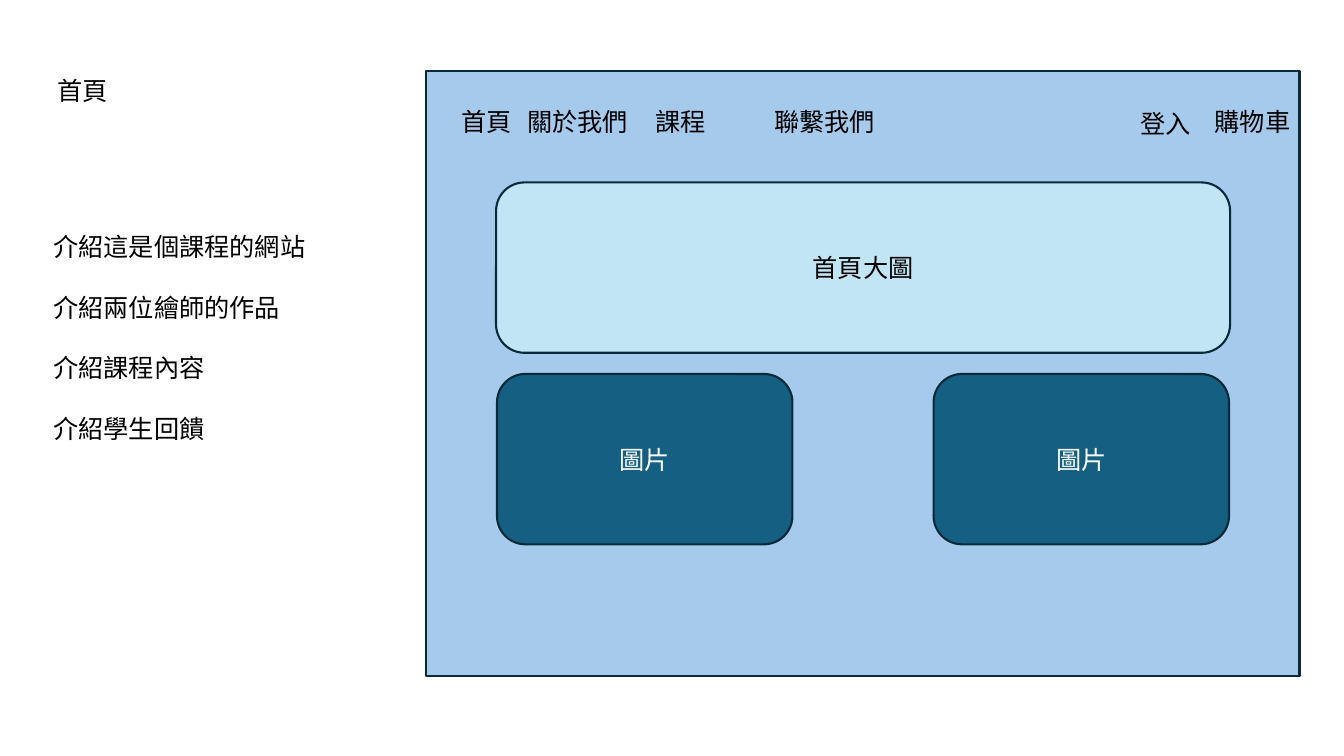
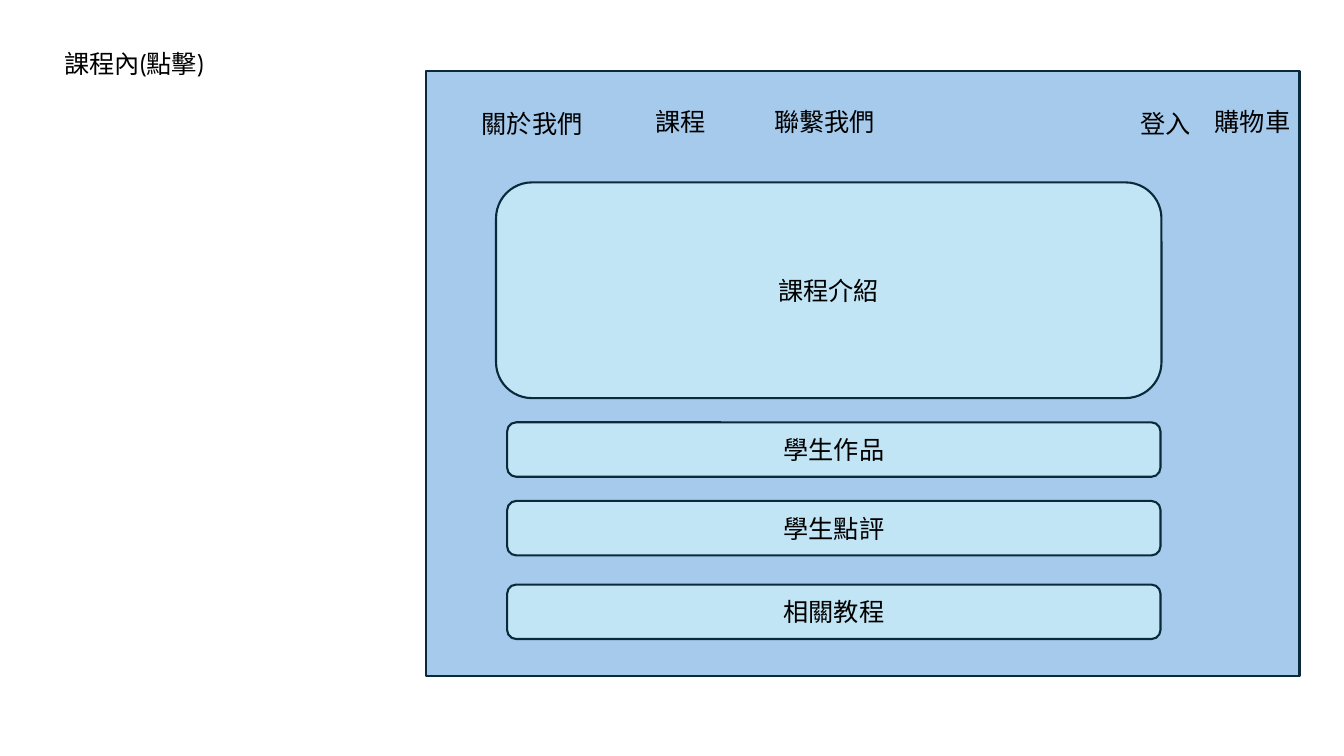
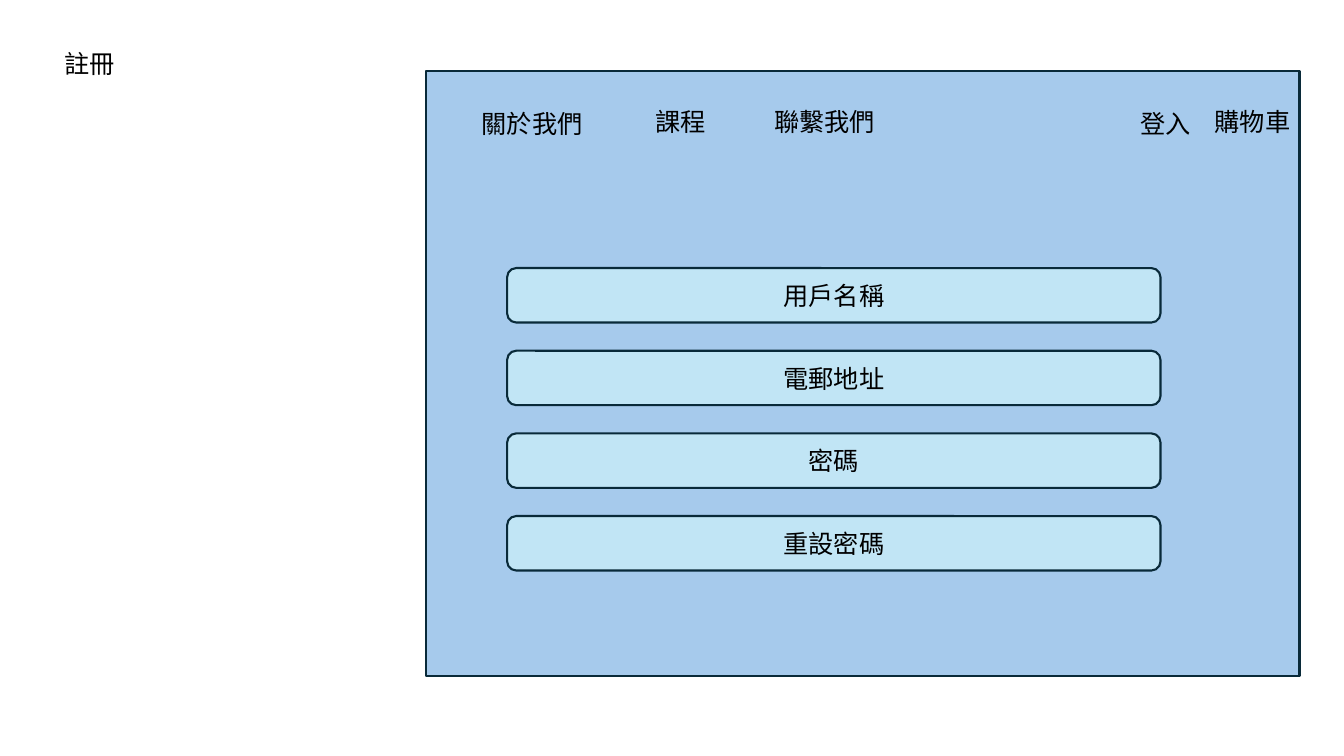
from pptx import Presentation
from pptx.dml.color import RGBColor
from pptx.enum.shapes import MSO_SHAPE
from pptx.enum.text import MSO_ANCHOR, MSO_AUTO_SIZE, PP_ALIGN
from pptx.util import Inches, Pt

BLACK = RGBColor(0x00, 0x00, 0x00)
WHITE = RGBColor(0xFF, 0xFF, 0xFF)
OUTLINE = RGBColor(0x09, 0x2A, 0x39)
PAGE_BLUE = RGBColor(0xA6, 0xCA, 0xEC)
PALE_BLUE = RGBColor(0xC1, 0xE5, 0xF5)
DEEP_BLUE = RGBColor(0x15, 0x60, 0x82)

FONT_NAME = "Cabin"
FONT_SIZE = Pt(18)
LINE_HEIGHT = Pt(21.6)
TEXT_HEIGHT = 0.4

SHARED_MENU = [
    ("課程", 6.4, 1.01),
    ("聯繫我們", 7.58, 1.01),
    ("登入", 11.21, 1.03),
    ("購物車", 11.95, 1.01),
]
HOME_MENU = [("首頁", 4.48, 1.01), ("關於我們", 5.13, 1.01)]
INNER_MENU = [("關於我們", 4.68, 1.03)]


def format_paragraph(paragraph, color=BLACK, alignment=PP_ALIGN.LEFT):
    paragraph.alignment = alignment
    paragraph.font.name = FONT_NAME
    paragraph.font.size = FONT_SIZE
    paragraph.font.color.rgb = color


def add_title(slide, text, left, top):
    title = slide.shapes.title
    title.left, title.top = Inches(left), Inches(top)
    title.width, title.height = Inches(2.51), Inches(TEXT_HEIGHT)
    frame = title.text_frame
    frame.text = text
    frame.auto_size = MSO_AUTO_SIZE.NONE
    frame.vertical_anchor = MSO_ANCHOR.TOP
    format_paragraph(frame.paragraphs[0])


def add_text(slide, lines, left, top, width, height=TEXT_HEIGHT):
    box = slide.shapes.add_textbox(
        Inches(left), Inches(top), Inches(width), Inches(height))
    frame = box.text_frame
    frame.word_wrap = True
    frame.text = "\n".join(lines)
    for paragraph in frame.paragraphs:
        format_paragraph(paragraph)
        paragraph.space_after = LINE_HEIGHT


def add_panel(slide, left, top, width, height, fill=PALE_BLUE, text="",
              color=BLACK, kind=MSO_SHAPE.ROUNDED_RECTANGLE):
    shape = slide.shapes.add_shape(
        kind, Inches(left), Inches(top), Inches(width), Inches(height))
    shape.shadow.inherit = False
    shape.fill.solid()
    shape.fill.fore_color.rgb = fill
    shape.line.color.rgb = OUTLINE
    shape.line.width = Pt(1.5)
    if text:
        frame = shape.text_frame
        frame.text = text
        frame.vertical_anchor = MSO_ANCHOR.MIDDLE
        format_paragraph(frame.paragraphs[0], color, PP_ALIGN.CENTER)


def add_row(slide, text, top):
    add_panel(slide, 5.03, top, 6.48, 0.54, text=text)


def add_page(presentation, title, left, top, menu):
    slide = presentation.slides.add_slide(presentation.slide_layouts[5])
    add_title(slide, title, left, top)
    add_panel(slide, 4.23, 0.7, 8.66, 6.01, PAGE_BLUE, kind=MSO_SHAPE.RECTANGLE)
    for label, label_left, label_top in menu + SHARED_MENU:
        add_text(slide, [label], label_left, label_top, 1.27)
    return slide


def build_home(presentation):
    slide = add_page(presentation, "首頁", 0.47, 0.7, HOME_MENU)
    add_panel(slide, 4.92, 1.81, 7.28, 1.69, text="首頁大圖")
    for left in (4.93, 9.26):
        add_panel(slide, left, 3.71, 2.93, 1.69, DEEP_BLUE, "圖片", WHITE)
    notes = ["介紹這是個課程的網站", "介紹兩位繪師的作品", "介紹課程內容", "介紹學生回饋"]
    add_text(slide, notes, 0.43, 2.25, 2.8, 2.83)


def build_course(presentation):
    slide = add_page(presentation, "課程內(點擊)", 0.54, 0.43, INNER_MENU)
    add_panel(slide, 4.92, 1.81, 6.6, 2.14, text="課程介紹")
    for text, top in (("學生作品", 4.19), ("學生點評", 4.97), ("相關教程", 5.8)):
        add_row(slide, text, top)


def build_registration(presentation):
    slide = add_page(presentation, "註冊", 0.54, 0.43, INNER_MENU)
    for index, text in enumerate(["用戶名稱", "電郵地址", "密碼", "重設密碼"]):
        add_row(slide, text, 2.66 + 0.82 * index)


def main():
    presentation = Presentation()
    presentation.slide_width = Inches(13.33)
    presentation.slide_height = Inches(7.5)
    build_home(presentation)
    build_course(presentation)
    build_registration(presentation)
    presentation.save("out.pptx")


if __name__ == "__main__":
    main()
